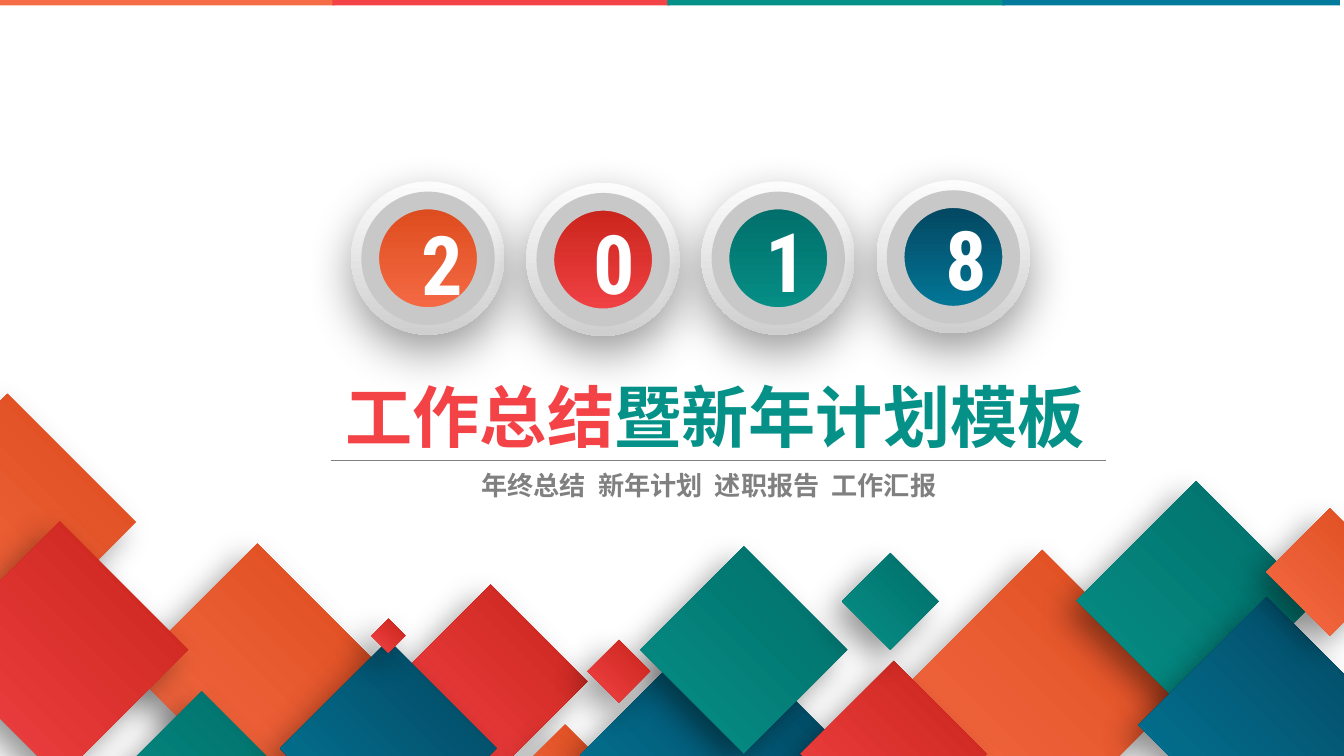
from typing import NamedTuple

from lxml import etree
from pptx import Presentation
from pptx.dml.color import RGBColor
from pptx.enum.shapes import MSO_CONNECTOR, MSO_SHAPE
from pptx.enum.text import MSO_AUTO_SIZE, PP_ALIGN
from pptx.oxml.ns import qn
from pptx.util import Inches, Pt

OVAL, RECT = MSO_SHAPE.OVAL, MSO_SHAPE.RECTANGLE
WIDTH = Inches(10)
HEIGHT = WIDTH * 9 // 16
CJK, DIGITS = "Noto Sans CJK SC", "Roboto Condensed"

WHITE = RGBColor(0xFF, 0xFF, 0xFF)
GRAY = RGBColor(0x80, 0x80, 0x80)
RIM = RGBColor(0xC8, 0xC8, 0xC8)


class Tone(NamedTuple):
    start: RGBColor
    end: RGBColor


SILVER = Tone(RGBColor(0xFC, 0xFC, 0xFC), RGBColor(0xCF, 0xCF, 0xCF))
ORANGE = Tone(RGBColor(0xDC, 0x4A, 0x1B), RGBColor(0xF6, 0x6C, 0x47))
RED = Tone(RGBColor(0xC7, 0x23, 0x19), RGBColor(0xF3, 0x43, 0x47))
TEAL = Tone(RGBColor(0x02, 0x6C, 0x68), RGBColor(0x05, 0x91, 0x88))
BLUE = Tone(RGBColor(0x03, 0x43, 0x5D), RGBColor(0x03, 0x7A, 0x9B))
TONES = (ORANGE, RED, TEAL, BLUE)


class Badge(NamedTuple):
    digit: str
    tone: Tone
    top: float
    digit_left: float
    digit_top: float


class Diamond(NamedTuple):
    tone: Tone
    left: float
    top: float
    side: float


# All positions and sizes are percentages of the slide width.
BAR_LEFT, BAR_STEP, BAR_WIDTH = -0.2, 24.93, 25.1
BADGE_LEFT, BADGE_STEP, BADGE_SIZE = 26.13, 13.03, 11.4
CORE_INSET, CORE_SIZE = 1.42, 8.6
BADGES = (
    Badge("2", ORANGE, 13.5, 30.4, 15.4),
    Badge("0", RED, 13.6, 43.2, 15.3),
    Badge("1", TEAL, 13.5, 56.0, 15.2),
    Badge("8", BLUE, 13.4, 69.4, 15.0),
)
DIAMONDS = (
    Diamond(RED, 31.4, 45.6, 10.2),
    Diamond(ORANGE, -6.2, 32.1, 13.5),
    Diamond(ORANGE, 12.5, 43.2, 13.3),
    Diamond(RED, -2.3, 41.6, 13.5),
    Diamond(TEAL, 10.5, 53.3, 9.0),
    Diamond(BLUE, 23.2, 50.0, 11.4),
    Diamond(ORANGE, 38.7, 55.3, 6.7),
    Diamond(BLUE, 46.1, 49.1, 14.2),
    Diamond(ORANGE, 70.1, 44.0, 14.9),
    Diamond(TEAL, 49.9, 42.9, 10.9),
    Diamond(RED, 61.6, 51.2, 9.8),
    Diamond(TEAL, 82.7, 38.4, 12.6),
    Diamond(TEAL, 63.7, 42.2, 5.1),
    Diamond(BLUE, 87.5, 47.2, 13.5),
    Diamond(ORANGE, 95.6, 39.2, 6.7),
    Diamond(RED, 44.4, 48.3, 3.3),
    Diamond(RED, 28.0, 46.4, 1.8),
)


def share(percent: float) -> int:
    return round(WIDTH * percent / 100)


def add_plain(shapes, kind, left: float, top: float, width: float, height: float):
    """Add a shape with neither outline nor shadow."""
    s = shapes.add_shape(kind, *map(share, (left, top, width, height)))
    s.shadow.inherit = False
    s.line.fill.background()
    return s


def fill_gradient(s, tone: Tone) -> None:
    s.fill.gradient()
    s.fill.gradient_angle = 270
    for stop, color in zip(s.fill.gradient_stops, tone):
        stop.color.rgb = color


def add_shadow(s, blur: float, angle: int) -> None:
    effects = s._element.spPr.find(qn("a:effectLst"))
    shadow = etree.SubElement(
        effects, qn("a:outerShdw"), blurRad=str(Pt(blur)), dist=str(Pt(9)),
        dir=str(angle * 60000), algn="ctr", rotWithShape="0")
    color = etree.SubElement(shadow, qn("a:srgbClr"), val="000000")
    etree.SubElement(color, qn("a:alpha"), val="40000")


def add_text(shapes, left: float, top: float, width: float, height: float,
             size: int, font: str):
    """Add a centred bold text box and return its paragraph."""
    tb = shapes.add_textbox(*map(share, (left, top, width, height)))
    tf = tb.text_frame
    tf.word_wrap = True
    tf.auto_size = MSO_AUTO_SIZE.SHAPE_TO_FIT_TEXT
    if font == CJK:
        tf.margin_left = tf.margin_right = tf.margin_top = tf.margin_bottom = 0
    p = tf.paragraphs[0]
    p.alignment = PP_ALIGN.CENTER
    p.font.size, p.font.bold, p.font.name = Pt(size), True, font
    etree.SubElement(p.font._element, qn("a:ea"), typeface=font)
    return p


def add_run(p, text: str):
    r = p.add_run()
    r.text = text
    return r


def draw_badge(shapes, column: int, badge: Badge) -> None:
    left = BADGE_LEFT + column * BADGE_STEP
    group = shapes.add_group_shape().shapes
    ring = add_plain(group, OVAL, left, badge.top, BADGE_SIZE, BADGE_SIZE)
    fill_gradient(ring, SILVER)
    add_shadow(ring, 25, 90)
    core = add_plain(group, OVAL, left + CORE_INSET, badge.top + CORE_INSET,
                     CORE_SIZE, CORE_SIZE)
    fill_gradient(core, badge.tone)
    core.line.color.rgb = RIM
    core.line.width = Pt(9.5)
    p = add_text(shapes, badge.digit_left, badge.digit_top, 3, 8.4, 44, DIGITS)
    p.font.color.rgb = WHITE
    add_run(p, badge.digit)


def draw_titles(shapes) -> None:
    p = add_text(shapes, 24.3, 27.95, 57.8, 6.1, 36, CJK)
    for text, tone in (("工作总结", RED), ("暨新年计划模板", TEAL)):
        add_run(p, text).font.color.rgb = tone.end

    p = add_text(shapes, 32.3, 34.95, 40.9, 2.4, 14, CJK)
    p.font.color.rgb = GRAY
    for i, topic in enumerate(("年终总结", "新年计划", "述职报告", "工作汇报")):
        if i:
            gap = add_run(p, " ")
            gap._r.get_or_add_rPr().set("spc", "320")
        add_run(p, topic)

    rule = shapes.add_connector(MSO_CONNECTOR.STRAIGHT,
                                *map(share, (24.6, 34.24, 82.3, 34.24)))
    rule.line.color.rgb = GRAY
    rule.line.width = Pt(0.5)
    etree.SubElement(rule._element.spPr, qn("a:effectLst"))


def draw_diamond(shapes, diamond: Diamond) -> None:
    s = add_plain(shapes, RECT, diamond.left, diamond.top, diamond.side, diamond.side)
    s.rotation = 45
    fill_gradient(s, diamond.tone)
    add_shadow(s, 17, 135)


def main() -> None:
    prs = Presentation()
    prs.slide_width, prs.slide_height = WIDTH, HEIGHT
    shapes = prs.slides.add_slide(prs.slide_layouts[6]).shapes

    for column, badge in enumerate(BADGES):
        draw_badge(shapes, column, badge)
    draw_titles(shapes)
    for column, tone in enumerate(TONES):
        bar = add_plain(shapes, RECT, BAR_LEFT + column * BAR_STEP, 0, BAR_WIDTH, 0.4)
        bar.fill.solid()
        bar.fill.fore_color.rgb = tone.end
    for diamond in DIAMONDS:
        draw_diamond(shapes, diamond)

    prs.save("out.pptx")


if __name__ == "__main__":
    main()
